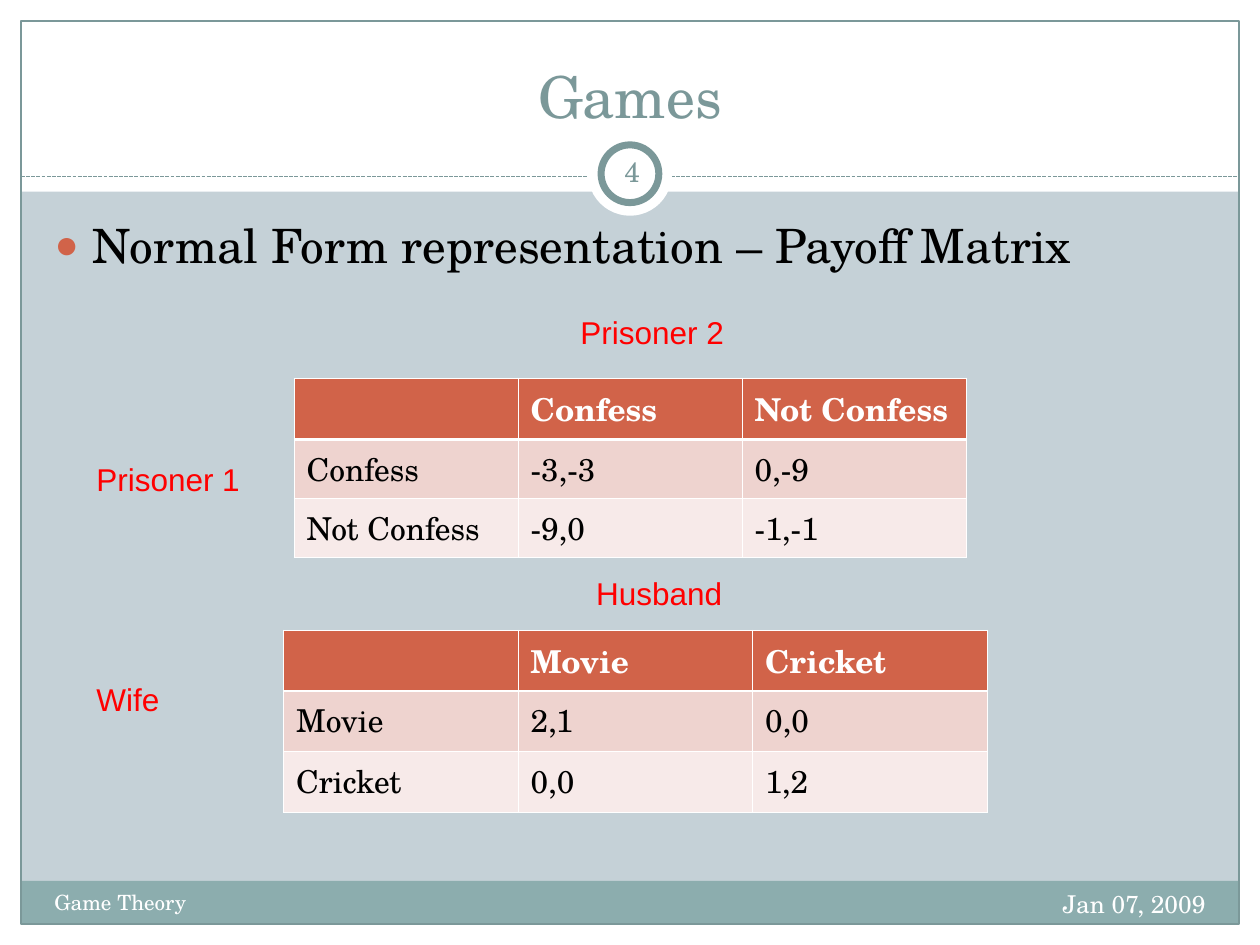
from lxml.etree import SubElement
from pptx import Presentation
from pptx.dml.color import RGBColor as Rgb
from pptx.enum.dml import MSO_LINE_DASH_STYLE as Dash
from pptx.enum.shapes import MSO_CONNECTOR as Connector, MSO_SHAPE as Shape
from pptx.enum.text import MSO_ANCHOR as Anchor, MSO_AUTO_SIZE as AutoSize, PP_ALIGN as Align
from pptx.oxml.ns import qn
from pptx.util import Inches, Pt

COLORS = {
    "ground": "C5D1D7", "white": "FFFFFF", "black": "000000", "teal": "7B9899",
    "band": "8CADAE", "rust": "D16349", "row_dark": "EED3CF", "row_light": "F7EAE9",
    "label": "FF0000",
}
SERIF, SANS = "TeX Gyre Schola", "Arial"
COLUMNS, ROWS = 120, 90  # slide grid
UNIT = Inches(10) / COLUMNS
MARGIN = 2

GAMES = [
    {"box": (28, 36, 64, 16.9), "rows": [
        ["", "Confess", "Not Confess"],
        ["Confess", "-3,-3", "0,-9"],
        ["Not Confess", "-9,0", "-1,-1"]],
     "players": [("Prisoner 1", (8, 43.2, 17, 4.8)), ("Prisoner 2", (54.1, 29.2, 17, 4.8))]},
    {"box": (27, 60, 67, 17.4), "rows": [
        ["", "Movie", "Cricket"],
        ["Movie", "2,1", "0,0"],
        ["Cricket", "0,0", "1,2"]],
     "players": [("Wife", (8, 64.2, 9, 4.8)), ("Husband", (55.6, 54.1, 15, 4.8))]},
]


def color(name):
    return Rgb.from_string(COLORS[name])


def grid(box):
    return [round(value * UNIT) for value in box]


def place(shape, box):
    shape.left, shape.top, shape.width, shape.height = grid(box)


def style(para, size, ink, face=SERIF, bold=False):
    for span in para.runs:
        font = span.font
        font.size, font.name, font.bold = Pt(size), face, bold
        font.color.rgb = color(ink)


def add_panel(page, kind, box, fill=None, line=None, width=0.75):
    shape = page.shapes.add_shape(kind, *grid(box))
    shape.shadow.inherit = False
    if fill:
        shape.fill.solid()
        shape.fill.fore_color.rgb = color(fill)
    else:
        shape.fill.background()
    if line:
        shape.line.color.rgb = color(line)
        shape.line.width = Pt(width)
    else:
        shape.line.fill.background()


def add_label(page, text, box, size, ink, face=SERIF, align=Align.LEFT):
    label = page.shapes.add_textbox(*grid(box))
    frame = label.text_frame
    frame.word_wrap = True
    frame.text = text
    frame.paragraphs[0].alignment = align
    style(frame.paragraphs[0], size, ink, face)
    return frame


def add_frame(page):
    # White margins, footer band and outline
    inner_width, inner_height = COLUMNS - 2 * MARGIN, ROWS - 2 * MARGIN
    for box in [(0, ROWS - MARGIN, COLUMNS, MARGIN), (0, 0, COLUMNS, 18.25),
                (0, 0, MARGIN, ROWS), (COLUMNS - MARGIN, 0, MARGIN, ROWS)]:
        add_panel(page, Shape.RECTANGLE, box, "white")
    add_panel(page, Shape.RECTANGLE, (MARGIN, 83.9, inner_width, 4.1), "band")
    add_panel(page, Shape.RECTANGLE, (MARGIN, MARGIN, inner_width, inner_height), line="teal")

    # Dashed rule
    ends = grid((MARGIN, 16.8, COLUMNS - MARGIN, 16.8))
    rule = page.shapes.add_connector(Connector.STRAIGHT, *ends)
    rule.line.color.rgb = color("teal")
    rule.line.width = Pt(0.75)
    rule.line.dash_style = Dash.SQUARE_DOT
    SubElement(rule.element.spPr, qn("a:effectLst"))

    # Ring around the page number
    for diameter, line in [(8, None), (5.5, "teal")]:
        box = (COLUMNS / 2 - diameter / 2, 16.55 - diameter / 2, diameter, diameter)
        add_panel(page, Shape.OVAL, box, "white", line, 4)


def add_title(page, text, box):
    title = page.shapes.title
    page.shapes.element.append(title.element)  # bring in front of the frame
    place(title, box)
    frame = title.text_frame
    frame.text = text
    frame.auto_size = AutoSize.NONE
    frame.vertical_anchor = Anchor.BOTTOM
    frame.paragraphs[0].alignment = Align.CENTER
    style(frame.paragraphs[0], 33, "teal")


def add_footer(page):
    add_label(page, "Jan 07, 2009", (76, 84.1, 40, 4.8), 14, "white", align=Align.RIGHT)
    add_label(page, "Game Theory", (4, 84.1, 47, 4.8), 12, "white")
    number = add_label(page, "4", (57.2, 13.5, 6, 5.7), 16, "teal", align=Align.CENTER)
    number.vertical_anchor = Anchor.MIDDLE
    number.margin_left = number.margin_right = Inches(0.05)


def add_body(page, text, box):
    body = page.placeholders[1]
    page.shapes.element.append(body.element)
    place(body, box)
    frame = body.text_frame
    frame.text = text
    frame.auto_size = AutoSize.NONE
    para = frame.paragraphs[0]
    para.space_before = Pt(0)
    props = para._p.get_or_add_pPr()
    props.set("marL", str(Inches(0.3)))
    props.set("indent", str(-Inches(0.3)))
    bullet_color = SubElement(props, qn("a:buClr"))
    SubElement(bullet_color, qn("a:srgbClr"), val=COLORS["rust"])
    SubElement(props, qn("a:buSzPct"), val="85000")
    SubElement(props, qn("a:buFont"), typeface=SANS)
    SubElement(props, qn("a:buChar"), char="●")
    style(para, 27, "black")


def set_borders(cell, widths):
    props = cell._tc.get_or_add_tcPr()
    for index, (side, width) in enumerate(widths.items()):
        line = props.makeelement(qn(f"a:{side}"), {"w": str(Pt(width))})
        fill = SubElement(line, qn("a:solidFill"))
        SubElement(fill, qn("a:srgbClr"), val=COLORS["white"])
        props.insert(index, line)  # borders go before the fill


def add_matrix(page, rows, box):
    table = page.shapes.add_table(len(rows), len(rows[0]), *grid(box)).table
    fills = ["rust", "row_dark", "row_light"]
    for r, row in enumerate(rows):
        for c, text in enumerate(row):
            cell = table.cell(r, c)
            cell.text = text
            cell.fill.solid()
            cell.fill.fore_color.rgb = color(fills[r])
            header = r == 0
            style(cell.text_frame.paragraphs[0], 18, "white" if header else "black", bold=header)
            set_borders(cell, {"lnL": 0.45, "lnR": 0.45, "lnT": 1.47 if r == 1 else 0.45,
                               "lnB": 1.47 if header else 0.45})


def add_game(page, game):
    add_matrix(page, game["rows"], game["box"])
    for name, box in game["players"]:
        add_label(page, name, box, 18, "label", SANS)


def main():
    deck = Presentation()
    deck.slide_width, deck.slide_height = grid((COLUMNS, ROWS))
    page = deck.slides.add_slide(deck.slide_layouts[1])
    page.background.fill.solid()
    page.background.fill.fore_color.rgb = color("ground")
    add_frame(page)
    add_title(page, "Games", (4, 3, 112, 10))
    add_footer(page)
    add_body(page, "Normal Form representation – Payoff Matrix", (4, 20, 111.6, 60))
    for game in GAMES:
        add_game(page, game)
    deck.save("out.pptx")


if __name__ == "__main__":
    main()
